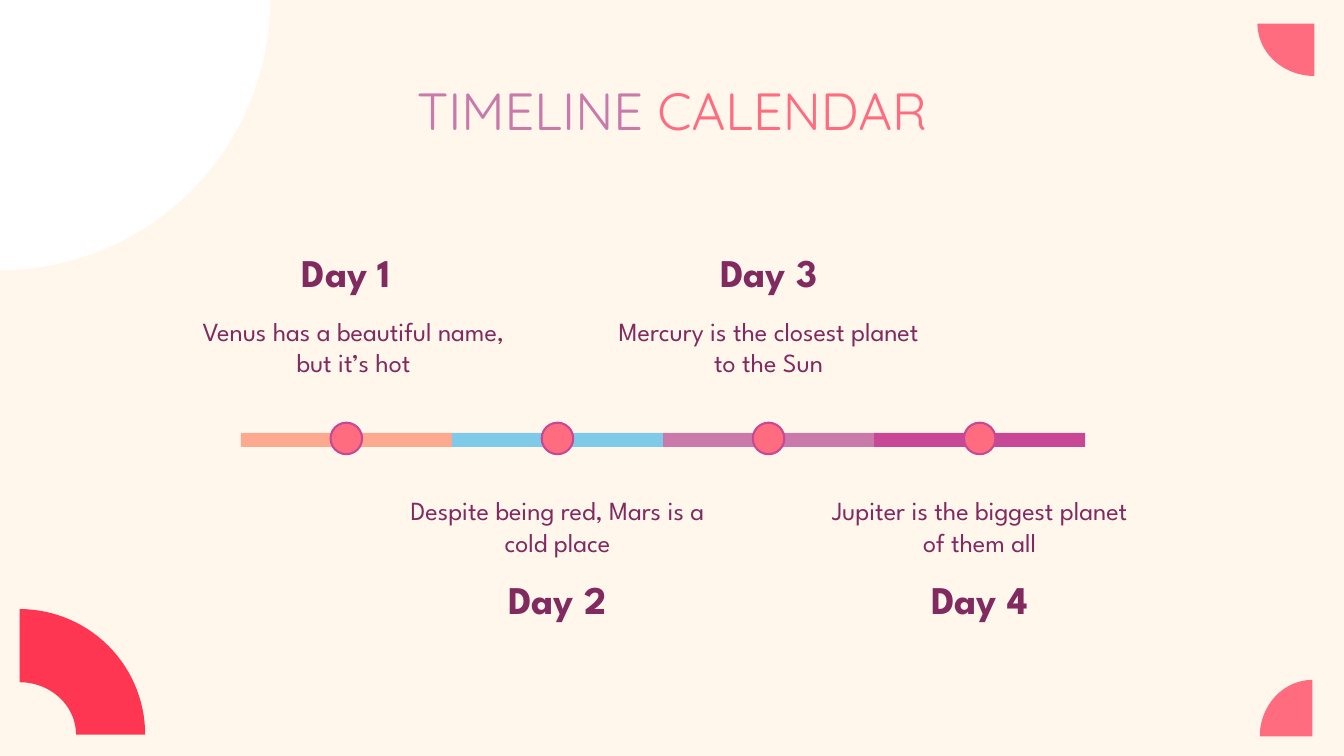
import math
from dataclasses import dataclass

import pptx
import pptx.dml.color
import pptx.enum.shapes
import pptx.enum.text
import pptx.util

Pt = pptx.util.Pt
MSO_SHAPE = pptx.enum.shapes.MSO_SHAPE
ANCHOR = pptx.enum.text.MSO_ANCHOR

CREAM, WHITE = "FFF7EC", "FFFFFF"
CORAL, RED = "FF6B7F", "FF3651"
MAUVE, MAGENTA, PLUM = "C979AA", "C94896", "812A5F"

BAR_LEFT, BAR_TOP, BAR_W, BAR_H = 258, 463.7, 226.2, 15.1
DOT, DOT_TOP = 33.8, 452.9
NOTE_W, NOTE_H = 355.7, 90
HEAD_W, HEAD_H = 155.5, 47.5
NOTE_TOPS = {True: 323.3, False: 515.5}
HEAD_TOPS = {True: 267.1, False: 617.8}


@dataclass
class Sector:
    cx: float
    cy: float
    rx: float
    ry: float
    start: int
    color: str
    hole_rx: float = 0
    hole_ry: float = 0


@dataclass
class Run:
    text: str
    size: float
    font: str
    color: str
    bold: bool = False


@dataclass
class Day:
    name: str
    note: str
    color: str
    above: bool
    note_shift: float = 0


SECTORS = [
    Sector(1406.2, 789.1, 56.4, 60.6, 180, CORAL),
    Sector(1408.3, 25.2, 61, 56.2, 90, CORAL),
    Sector(21, 787.2, 134.6, 134.6, 270, RED, 60.5, 56.2),
    Sector(0, 0, 289.4, 289.4, 0, WHITE),
]

DAYS = [
    Day("Day 1", "Venus has a beautiful name, but it’s hot", "FDA990", True, 7.6),
    Day("Day 2", "Despite being red, Mars is a cold place", "80CAE9", False),
    Day("Day 3", "Mercury is the closest planet to the Sun", MAUVE, True),
    Day("Day 4", "Jupiter is the biggest planet of them all", MAGENTA, False),
]


def rgb(color: str) -> pptx.dml.color.RGBColor:
    return pptx.dml.color.RGBColor.from_string(color)


def paint(sp, color: str, outline: str = "") -> None:
    sp.shadow.inherit = False
    sp.fill.solid()
    sp.fill.fore_color.rgb = rgb(color)
    if outline:
        sp.line.color.rgb = rgb(outline)
        sp.line.width = Pt(2.25)
    else:
        sp.line.fill.background()


def arc(sector: Sector, rx: float, ry: float) -> list[tuple[int, int]]:
    angles = [math.radians(sector.start + 3 * i) for i in range(31)]
    return [(Pt(sector.cx + rx * math.cos(a)), Pt(sector.cy + ry * math.sin(a)))
            for a in angles]


def add_sector(s, sector: Sector) -> None:
    points = arc(sector, sector.rx, sector.ry)
    if sector.hole_rx:
        points += reversed(arc(sector, sector.hole_rx, sector.hole_ry))
    else:
        points.append((Pt(sector.cx), Pt(sector.cy)))
    builder = s.shapes.build_freeform(*points[0], scale=1.0)
    builder.add_line_segments(points[1:], close=True)
    paint(builder.convert_to_shape(), sector.color)


def add_shape(s, kind, x: float, y: float, w: float, h: float,
              color: str, outline: str = "") -> None:
    sp = s.shapes.add_shape(kind, Pt(x), Pt(y), Pt(w), Pt(h))
    paint(sp, color, outline)


def add_text(s, cx: float, y: float, w: float, h: float, runs: list[Run],
             anchor=ANCHOR.TOP, after: float = 0) -> None:
    tf = s.shapes.add_textbox(Pt(cx - w / 2), Pt(y), Pt(w), Pt(h)).text_frame
    tf.word_wrap = True
    tf.vertical_anchor = anchor
    tf.margin_left = tf.margin_right = tf.margin_top = tf.margin_bottom = Pt(14.4)
    p = tf.paragraphs[0]
    p.alignment = pptx.enum.text.PP_ALIGN.CENTER
    p.space_after = Pt(after)
    for run in runs:
        r = p.add_run()
        r.text = run.text
        r.font.size = Pt(run.size)
        r.font.name = run.font
        r.font.bold = run.bold
        r.font.color.rgb = rgb(run.color)


def add_day(s, i: int, day: Day) -> None:
    cx = BAR_LEFT + (i + 0.5) * BAR_W
    add_shape(s, MSO_SHAPE.RECTANGLE, BAR_LEFT + i * BAR_W, BAR_TOP, BAR_W, BAR_H, day.color)
    add_shape(s, MSO_SHAPE.OVAL, cx - DOT / 2, DOT_TOP, DOT, DOT, CORAL, MAGENTA)
    add_text(s, cx + day.note_shift, NOTE_TOPS[day.above], NOTE_W, NOTE_H,
             [Run(day.note, 28, "League Spartan", PLUM)], after=32)
    add_text(s, cx, HEAD_TOPS[day.above], HEAD_W, HEAD_H,
             [Run(day.name, 42, "League Spartan", PLUM, True)], ANCHOR.MIDDLE)


def main() -> None:
    prs = pptx.Presentation()
    prs.slide_width, prs.slide_height = Pt(1440), Pt(810)
    s = prs.slides.add_slide(prs.slide_layouts[6])
    s.background.fill.solid()
    s.background.fill.fore_color.rgb = rgb(CREAM)
    for sector in SECTORS:
        add_sector(s, sector)
    add_text(s, 720, 69.8, 1342, 90, [
        Run("TIMELINE ", 56, "Quicksand", MAUVE),
        Run("CALENDAR", 56, "Quicksand", CORAL),
    ])
    for i, day in enumerate(DAYS):
        add_day(s, i, day)
    prs.save("out.pptx")


if __name__ == "__main__":
    main()
